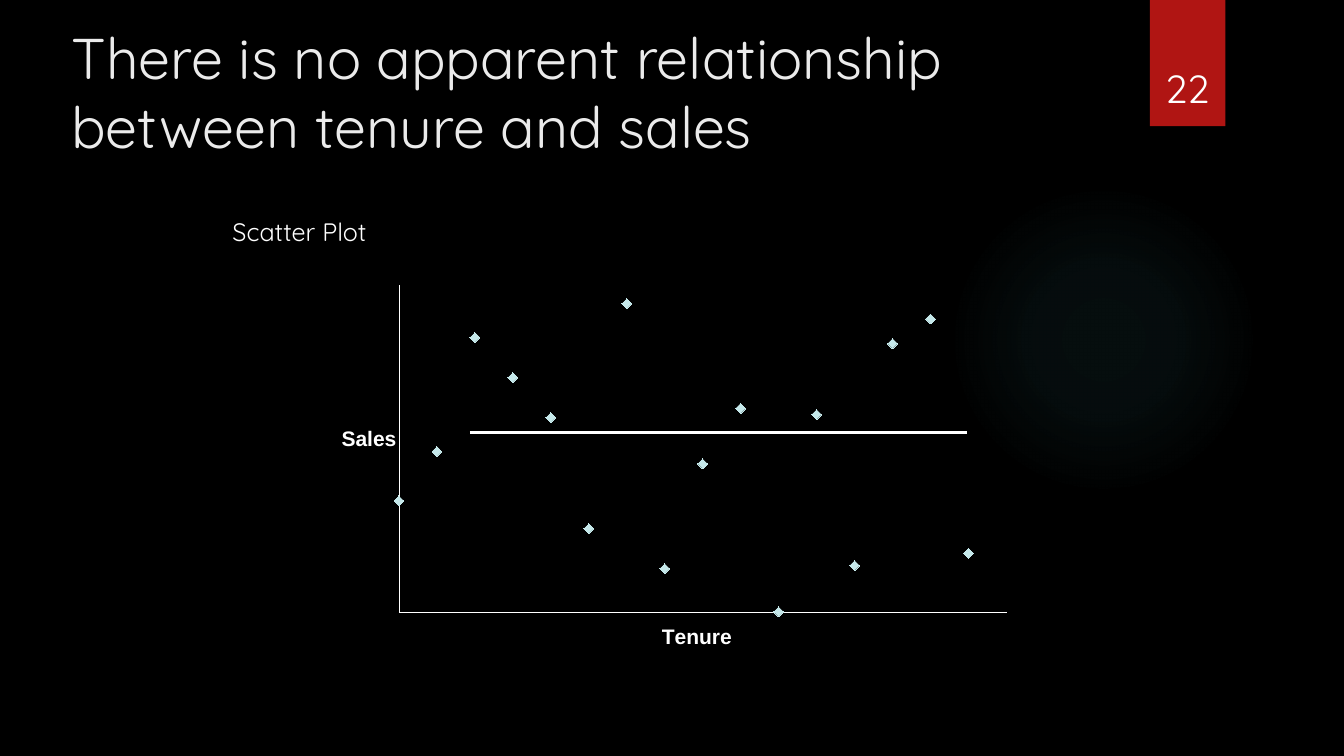
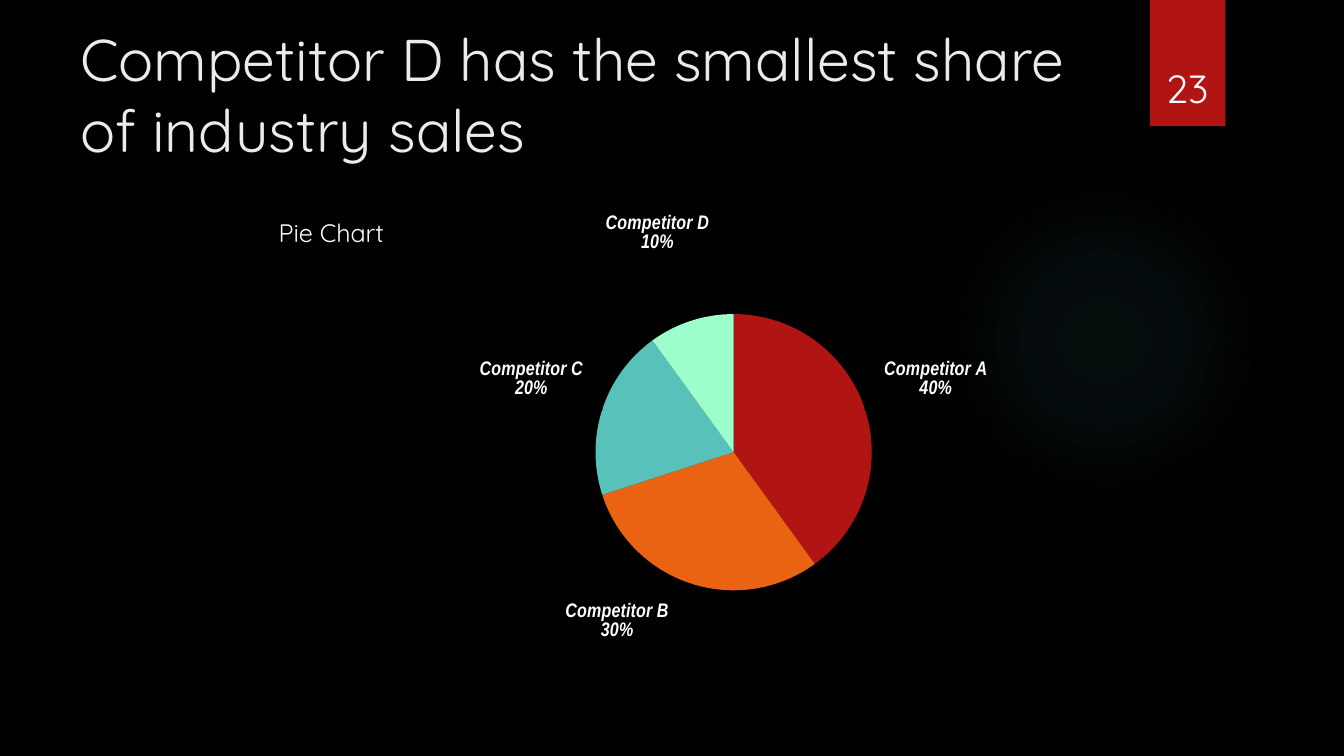
"""Two dark slides: a scatter plot of sales by tenure and a pie of market shares."""
from dataclasses import dataclass

from lxml.etree import SubElement
from pptx import Presentation
from pptx.chart.data import CategoryChartData, XyChartData
from pptx.dml.color import RGBColor
from pptx.enum.chart import XL_CHART_TYPE as ChartType
from pptx.enum.chart import XL_MARKER_STYLE as Marker
from pptx.enum.chart import XL_TICK_LABEL_POSITION as TickLabels
from pptx.enum.chart import XL_TICK_MARK as TickMark
from pptx.enum.shapes import MSO_CONNECTOR as Connector
from pptx.enum.shapes import MSO_SHAPE as Shape
from pptx.enum.text import MSO_ANCHOR as Anchor
from pptx.enum.text import PP_ALIGN as Align
from pptx.oxml import parse_xml
from pptx.oxml.ns import nsdecls, qn
from pptx.util import Cm, Pt


@dataclass(frozen=True)
class Theme:
    """Colours, fonts and type sizes of the deck."""
    background: str = "000000"
    title: str = "EBEBEB"
    text: str = "FFFFFF"
    band: str = "B01513"
    glow: str = "50B9C1"
    marker: str = "C5E8EA"
    slices: tuple = ("B01513", "EA6312", "58C1BA", "9DFFCB")
    font: str = "Quicksand"
    chart_font: str = "Arial"
    label_font: str = "Arial Narrow"
    number_size: float = 28
    caption_size: float = 18
    axis_size: float = 15
    chart_size: float = 12
    label_size: float = 14


def style_font(font, *, name, size, color, bold=False, italic=False):
    """Apply a complete character format."""
    font.name, font.size = name, Pt(size)
    font.bold, font.italic = bold, italic
    font.color.rgb = RGBColor.from_string(color)


def place(parent, index, *, x, y, width=None, height=None, inner=False):
    """Give a chart part a manual layout in fractions of the chart."""
    for old in parent.findall(qn("c:layout")):
        parent.remove(old)
    layout = parse_xml(f"<c:layout {nsdecls('c')}><c:manualLayout/></c:layout>")
    settings = [("layoutTarget", "inner" if inner else None)]
    if parent.tag != qn("c:dLbl"):
        settings += [("xMode", "edge"), ("yMode", "edge")]
    settings += [("x", x), ("y", y), ("w", width), ("h", height)]
    for tag, value in settings:
        if value is not None:
            SubElement(layout[0], qn(f"c:{tag}")).set("val", str(value))
    parent.insert(index, layout)


class SlideBuilder:
    """Holds the deck style and the slide being built."""

    def __init__(self, deck, theme):
        """Keep the deck and its theme."""
        self.deck, self.theme, self.page = deck, theme, None

    def start(self, number, title, *, left, top, size):
        """Add a page with its glow, band, number and title."""
        theme = self.theme
        self.page = self.deck.slides.add_slide(self.deck.slide_layouts[6])
        fill = self.page.background.fill
        fill.solid()
        fill.fore_color.rgb = RGBColor.from_string(theme.background)
        self.glow()
        self.band()
        self.text(title, left=left, top=top, width=26.14, height=3.89,
                  size=size, color=theme.title)
        self.text(str(number), left=28.75, top=0.81, width=2.34, height=2.13,
                  size=theme.number_size, align=Align.CENTER, anchor=Anchor.BOTTOM)

    def shape(self, kind, left, top, width, height):
        """Add a borderless preset shape without shadow."""
        shape = self.page.shapes.add_shape(kind, Cm(left), Cm(top), Cm(width), Cm(height))
        shape.shadow.inherit = False
        shape.line.fill.background()
        return shape

    def glow(self):
        """Add the soft round light."""
        shape = self.shape(Shape.OVAL, 23.9, 4.65, 7.82, 7.82)
        stops = "".join(
            f'<a:gs pos="{position * 1000}"><a:srgbClr val="{self.theme.glow}">'
            f'<a:alpha val="{alpha * 1000}"/></a:srgbClr></a:gs>'
            for position, alpha in ((0, 7), (36, 6), (69, 0)))
        gradient = parse_xml(
            f'<a:gradFill {nsdecls("a")}><a:gsLst>{stops}</a:gsLst><a:path path="circle">'
            '<a:fillToRect l="50000" t="50000" r="50000" b="50000"/></a:path></a:gradFill>')
        shape.element.spPr.find(qn("a:prstGeom")).addnext(gradient)

    def band(self):
        """Add the red band behind the slide number."""
        fill = self.shape(Shape.RECTANGLE, 28.98, 0, 1.9, 3.18).fill
        fill.solid()
        fill.fore_color.rgb = RGBColor.from_string(self.theme.band)

    def text(self, words, *, left, top, width, height, size, color=None,
             align=Align.LEFT, anchor=Anchor.TOP, wrap=True):
        """Add a one-paragraph text box."""
        box = self.page.shapes.add_textbox(Cm(left), Cm(top), Cm(width), Cm(height))
        frame = box.text_frame
        frame.word_wrap, frame.vertical_anchor = wrap, anchor
        para = frame.paragraphs[0]
        para.alignment = align
        span = para.add_run()
        span.text = words
        style_font(span.font, name=self.theme.font, size=size,
                   color=color or self.theme.text)

    def line(self, left, right, top, *, weight):
        """Add a horizontal line."""
        line = self.page.shapes.add_connector(
            Connector.STRAIGHT, Cm(left), Cm(top), Cm(right), Cm(top))
        line.line.width = Pt(weight)
        line.line.color.rgb = RGBColor.from_string(self.theme.text)
        SubElement(line.element.spPr, qn("a:effectLst"))

    def chart(self, kind, data, *, left, top, width, height, plot):
        """Add a chart without title or legend and place its plot area."""
        chart = self.page.shapes.add_chart(
            kind, Cm(left), Cm(top), Cm(width), Cm(height), data).chart
        chart.has_title = chart.has_legend = False
        style_font(chart.font, name=self.theme.chart_font,
                   size=self.theme.chart_size, color=self.theme.text)
        x, y, plot_width, plot_height = plot
        place(chart.element.xpath(".//c:plotArea")[0], 0, x=x, y=y,
              width=plot_width, height=plot_height, inner=True)
        return chart

    def axis(self, axis, title, *, low, high, x, y):
        """Reduce an axis to a thin line with a level title."""
        axis.minimum_scale, axis.maximum_scale = low, high
        axis.has_major_gridlines = False
        axis.major_tick_mark = axis.minor_tick_mark = TickMark.NONE
        axis.tick_label_position = TickLabels.NONE
        axis.format.line.width = Pt(0.25)
        axis.format.line.color.rgb = RGBColor.from_string(self.theme.text)
        frame = axis.axis_title.text_frame
        span = frame.paragraphs[0].add_run()
        span.text = title
        style_font(span.font, name=self.theme.chart_font, size=self.theme.axis_size,
                   color=self.theme.text, bold=True)
        element = axis.axis_title.element
        body = element.xpath(".//a:bodyPr")[0]
        body.set("rot", "0")
        body.set("vert", "horz")
        place(element, 1, x=x, y=y)

    def scatter(self, sales, **frame):
        """Add the scatter plot with evenly spaced tenures."""
        data = XyChartData()
        points = data.add_series("Series 1")
        for index, value in enumerate(sales):
            points.add_data_point(1 + index / 4, value)
        chart = self.chart(ChartType.XY_SCATTER, data, **frame)
        chart.plots[0].vary_by_categories = False
        series = chart.plots[0].series[0]
        series.smooth = False
        series.format.line.fill.background()
        series.marker.style, series.marker.size = Marker.DIAMOND, 7
        color = RGBColor.from_string(self.theme.marker)
        series.marker.format.fill.solid()
        series.marker.format.fill.fore_color.rgb = color
        series.marker.format.line.color.rgb = color
        self.axis(chart.category_axis, "Tenure", low=1, high=5, x=0.45, y=0.9)
        self.axis(chart.value_axis, "Sales", low=0, high=106, x=0.01, y=0.45)

    def pie(self, shares, offsets, **frame):
        """Add the pie with a shifted label on each slice."""
        data = CategoryChartData()
        data.categories = list(shares)
        data.add_series("Series 1", list(shares.values()))
        chart = self.chart(ChartType.PIE, data, **frame)
        chart.plots[0].vary_by_categories = True
        series = chart.plots[0].series[0]
        for index, color in enumerate(self.theme.slices):
            point = series.points[index]
            point.format.fill.solid()
            point.format.fill.fore_color.rgb = RGBColor.from_string(color)
            point.format.line.fill.background()
            style_font(point.data_label.font, name=self.theme.label_font,
                       size=self.theme.label_size, color=self.theme.text,
                       bold=True, italic=True)
        shown = {"showVal": "0", "showCatName": "1", "showPercent": "1"}
        for label, (x, y) in zip(chart.element.xpath(".//c:dLbl"), offsets):
            place(label, 1, x=x, y=y)
            for tag, value in shown.items():
                label.find(qn(f"c:{tag}")).set("val", value)
            SubElement(label, qn("c:separator")).text = "\n"


def main():
    """Build and save the deck."""
    deck = Presentation()
    deck.slide_width, deck.slide_height = Cm(33.87), Cm(19.05)
    theme = Theme()
    builder = SlideBuilder(deck, theme)

    builder.start(22, "There is no apparent relationship between tenure and sales",
                  left=1.55, top=0.43, size=41)
    builder.scatter([36, 52, 89, 76, 63, 27, 100, 14, 48, 66, 0, 64, 15, 87, 95, 19],
                    left=8.33, top=5.61, width=18.34, height=11.1,
                    plot=(0.094, 0.142, 0.835, 0.742))
    builder.line(11.84, 24.38, 10.9, weight=2.25)
    builder.text("Scatter Plot", left=5.61, top=5.33, width=5.11, height=1.8,
                 size=theme.caption_size)

    builder.start(23, "Competitor D has the smallest share of industry sales",
                  left=1.78, top=0.46, size=42)
    builder.pie({"Competitor A": 40, "Competitor B": 30,
                 "Competitor C": 20, "Competitor D": 10},
                [(0.02, -0.02), (-0.03, 0.03), (-0.02, -0.02), (0.03, -0.14)],
                left=9.96, top=5.21, width=16.94, height=11.3,
                plot=(0.298, 0.237, 0.411, 0.621))
    builder.text("Pie Chart", left=6.65, top=5.36, width=3.4, height=1.04,
                 size=theme.caption_size, align=Align.CENTER, wrap=False)
    deck.save("out.pptx")


if __name__ == "__main__":
    main()
